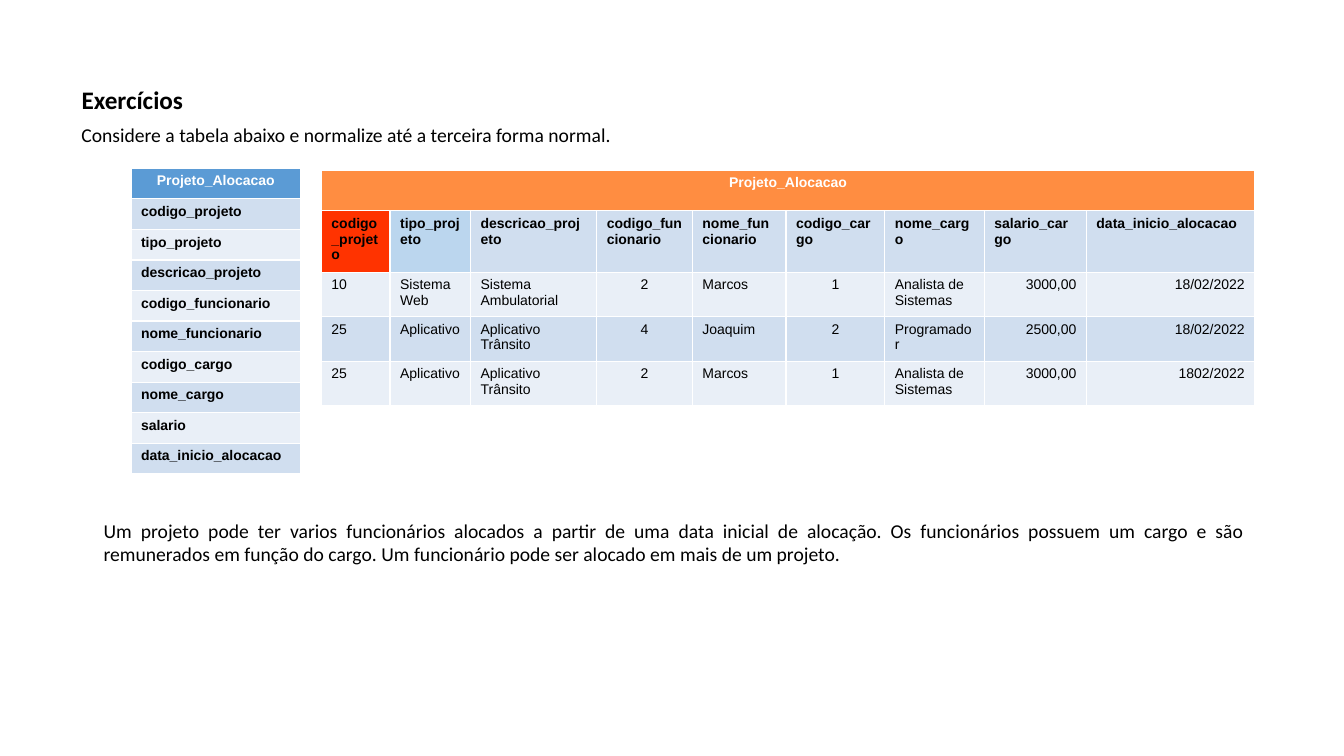
from pptx import Presentation
from pptx.dml.color import RGBColor
from pptx.enum.text import MSO_ANCHOR as Anchor, MSO_AUTO_SIZE as AutoSize, PP_ALIGN as Align
from pptx.util import Cm, Pt

BLACK = RGBColor(0x00, 0x00, 0x00)
WHITE = RGBColor(0xFF, 0xFF, 0xFF)
BLUE = RGBColor(0x5B, 0x9B, 0xD5)
ORANGE = RGBColor(0xFF, 0x8D, 0x41)
RED = RGBColor(0xFF, 0x33, 0x00)
SKY = RGBColor(0xBB, 0xD6, 0xEE)
BANDS = (RGBColor(0xE9, 0xEF, 0xF7), RGBColor(0xD0, 0xDE, 0xEF))

TABLE_NAME = "Projeto_Alocacao"
FIELDS = ["codigo_projeto", "tipo_projeto", "descricao_projeto",
          "codigo_funcionario", "nome_funcionario", "codigo_cargo",
          "nome_cargo", "salario", "data_inicio_alocacao"]
COLUMN_TITLES = [field.replace("salario", "salario_cargo") for field in FIELDS]
COLUMN_WIDTHS = [1.73, 2.03, 3.18, 2.41, 2.36, 2.49, 2.51, 2.57, 4.24]
COLUMN_ALIGNS = [Align.LEFT, Align.LEFT, Align.LEFT, Align.CENTER, Align.LEFT,
                 Align.CENTER, Align.LEFT, Align.RIGHT, Align.RIGHT]
RECORDS = [
    ["10", "Sistema Web", "Sistema Ambulatorial", "2", "Marcos",
     "1", "Analista de Sistemas", "3000,00", "18/02/2022"],
    ["25", "Aplicativo", "Aplicativo Trânsito", "4", "Joaquim",
     "2", "Programador", "2500,00", "18/02/2022"],
    ["25", "Aplicativo", "Aplicativo Trânsito", "2", "Marcos",
     "1", "Analista de Sistemas", "3000,00", "1802/2022"],
]


def format_paragraph(paragraph, font_name, size, color, bold=False, align=Align.LEFT):
    paragraph.alignment = align
    font = paragraph.font
    font.name, font.size, font.bold = font_name, Pt(size), bold
    font.color.rgb = color


def fill_cell(cell, text, fill, color=BLACK, bold=True, align=Align.LEFT):
    cell.text = text
    cell.fill.solid()
    cell.fill.fore_color.rgb = fill
    format_paragraph(cell.text_frame.paragraphs[0], "Arial", 10, color, bold, align)


def add_title(slide, text, left, top, width, height):
    title = slide.shapes.title
    title.left, title.top, title.width, title.height = left, top, width, height
    frame = title.text_frame
    frame.text = text
    frame.vertical_anchor = Anchor.MIDDLE
    frame.auto_size = AutoSize.NONE
    paragraph = frame.paragraphs[0]
    paragraph.line_spacing = 0.9
    format_paragraph(paragraph, "Calibri", 18, BLACK, bold=True)


def add_body_text(slide, text, left, top, width, height):
    frame = slide.shapes.add_textbox(left, top, width, height).text_frame
    frame.word_wrap = True
    frame.auto_size = AutoSize.SHAPE_TO_FIT_TEXT
    frame.text = text
    format_paragraph(frame.paragraphs[0], "Calibri", 14, BLACK, align=Align.JUSTIFY)


def add_table(slide, left, top, column_widths, row_heights, header_fill):
    """Add a table whose first row is one header across all columns."""
    table = slide.shapes.add_table(
        len(row_heights), len(column_widths), left, top,
        Cm(sum(column_widths)), Cm(sum(row_heights))).table
    for column, width in zip(table.columns, column_widths):
        column.width = Cm(width)
    for row, height in zip(table.rows, row_heights):
        row.height = Cm(height)
    header = table.cell(0, 0)
    if len(column_widths) > 1:
        header.merge(table.cell(0, len(column_widths) - 1))
    fill_cell(header, TABLE_NAME, header_fill, WHITE, align=Align.CENTER)
    return table


def add_field_list(slide, left, top):
    table = add_table(slide, left, top, [4.27], [0.77] * (len(FIELDS) + 1), BLUE)
    for row, field in enumerate(FIELDS, start=1):
        fill_cell(table.cell(row, 0), field, BANDS[row % 2])


def add_record_table(slide, left, top):
    table = add_table(slide, left, top, COLUMN_WIDTHS,
                      [1.02, 1.55] + [1.12] * len(RECORDS), ORANGE)
    # Column titles, with the key columns highlighted
    title_fills = [RED, SKY] + [BANDS[1]] * (len(COLUMN_TITLES) - 2)
    for column, (text, fill) in enumerate(zip(COLUMN_TITLES, title_fills)):
        fill_cell(table.cell(1, column), text, fill)
    # Records
    for row, record in enumerate(RECORDS, start=2):
        for column, (text, align) in enumerate(zip(record, COLUMN_ALIGNS)):
            fill_cell(table.cell(row, column), text, BANDS[row % 2],
                      bold=False, align=align)


def main():
    presentation = Presentation()
    presentation.slide_width, presentation.slide_height = Cm(33.87), Cm(19.05)
    slide = presentation.slides.add_slide(presentation.slide_layouts[5])

    # Heading and task
    add_title(slide, "Exercícios", Cm(1.8), Cm(0.71), Cm(29.21), Cm(3.68))
    add_body_text(slide, "Considere a tabela abaixo e normalize até a terceira forma normal.",
                  Cm(1.8), Cm(2.97), Cm(30.81), Cm(0.86))

    # Tables
    add_field_list(slide, Cm(3.3), Cm(4.24))
    add_record_table(slide, Cm(8.1), Cm(4.29))

    # Business rules
    add_body_text(slide, "Um projeto pode ter varios funcionários alocados a partir de uma "
                  "data inicial de alocação. Os funcionários possuem um cargo e são "
                  "remunerados em função do cargo. Um funcionário pode ser alocado em "
                  "mais de um projeto.",
                  Cm(2.36), Cm(12.95), Cm(29.26), Cm(1.45))

    presentation.save("out.pptx")


if __name__ == "__main__":
    main()
